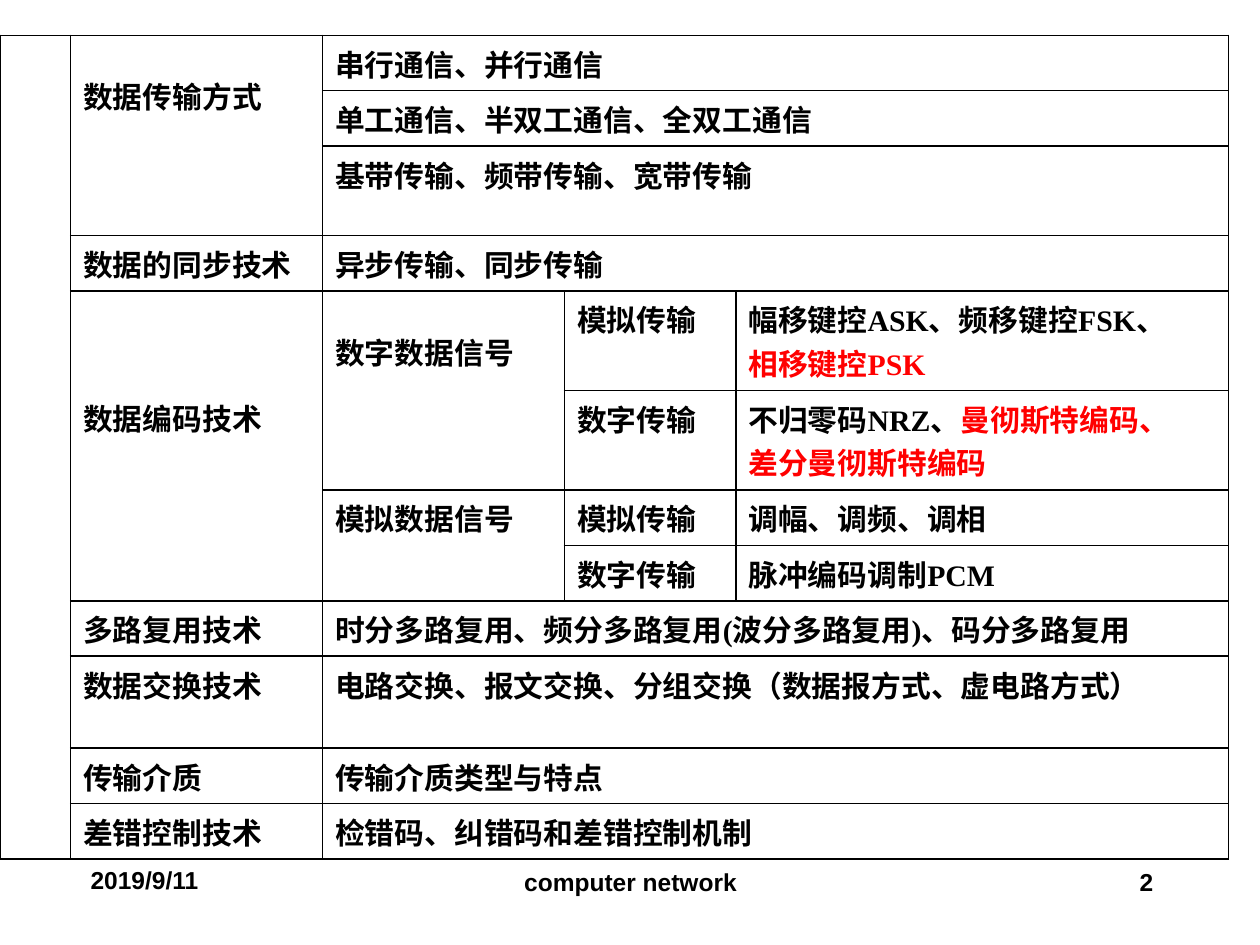
import pptx
import pptx.enum.text
import pptx.oxml
import pptx.util
from lxml import etree
from pptx.dml.color import RGBColor
from pptx.oxml.ns import qn

Inches, Pt = pptx.util.Inches, pptx.util.Pt
ALIGN = pptx.enum.text.PP_ALIGN
COLORS = {"ink": "000000", "key": "FF0000"}

COLS = [0.56, 2, 1.92, 1.36, 3.91]
ROWS = [0.44, 0.44, 0.71, 0.44, 0.79, 0.79, 0.44, 0.44, 0.44, 0.73, 0.44, 0.44]
PAD, LINE = 0.05, 0.26

# row, column, rows spanned, columns spanned, lines left free above, text
TOPICS = [
    (0, 1, 3, 1, 1, "数据传输方式"),
    (3, 1, 1, 1, 0, "数据的同步技术"),
    (4, 1, 4, 1, 3, "数据编码技术"),
    (8, 1, 1, 1, 0, "多路复用技术"),
    (9, 1, 1, 1, 0, "数据交换技术"),
    (10, 1, 1, 1, 0, "传输介质"),
    (11, 1, 1, 1, 0, "差错控制技术"),
    (4, 2, 2, 1, 1, "数字数据信号"),
    (6, 2, 2, 1, 0, "模拟数据信号"),
]
WIDE = {
    0: "串行通信、并行通信",
    1: "单工通信、半双工通信、全双工通信",
    2: "基带传输、频带传输、宽带传输",
    3: "异步传输、同步传输",
    8: "时分多路复用、频分多路复用(波分多路复用)、码分多路复用",
    9: "电路交换、报文交换、分组交换（数据报方式、虚电路方式）",
    10: "传输介质类型与特点",
    11: "检错码、纠错码和差错控制机制",
}
# one list of (text, colour) runs for each line
CODES = {
    4: ("模拟传输", [[("幅移键控ASK、频移键控FSK、", "ink")],
                 [("相移键控PSK", "key")]]),
    5: ("数字传输", [[("不归零码NRZ、", "ink"), ("曼彻斯特编码、", "key")],
                 [("差分曼彻斯特编码", "key")]]),
    6: ("模拟传输", [[("调幅、调频、调相", "ink")]]),
    7: ("数字传输", [[("脉冲编码调制PCM", "ink")]]),
}


def write(frame, lines, face, size, align=ALIGN.LEFT):
    for i, runs in enumerate(lines):
        para = frame.add_paragraph() if i else frame.paragraphs[0]
        para.alignment = align
        for text, color in runs:
            run = para.add_run()
            run.text = text
            run.font.name = face
            run.font.size = Pt(size)
            run.font.bold = True
            run.font.color.rgb = RGBColor.from_string(COLORS[color])


def rule(cell):
    """Draw thin lines on all four sides of a cell and clear its fill."""
    props = cell._tc.get_or_add_tcPr()
    for side in ("a:lnL", "a:lnR", "a:lnT", "a:lnB"):
        line = etree.SubElement(props, qn(side), w=str(Pt(1)))
        fill = etree.SubElement(line, qn("a:solidFill"))
        etree.SubElement(fill, qn("a:srgbClr"), val=COLORS["ink"])
    cell.fill.background()


def fill_cell(grid, row, col, lines, down=1, across=1, free=0):
    cell = grid.cell(row, col)
    if down > 1 or across > 1:
        cell.merge(grid.cell(row + down - 1, col + across - 1))
    cell.margin_top = Inches(PAD + free * LINE)
    write(cell.text_frame, lines, "Times New Roman", 17)


def add_grid(slide, left, top):
    frame = slide.shapes.add_table(
        len(ROWS), len(COLS), Inches(left), Inches(top),
        Inches(sum(COLS)), Inches(sum(ROWS)))
    grid = frame.table
    grid.first_row = grid.horz_banding = False
    for col, width in zip(grid.columns, COLS):
        col.width = Inches(width)
    for row, height in zip(grid.rows, ROWS):
        row.height = Inches(height)
    for cell in grid.iter_cells():
        rule(cell)

    grid.cell(0, 0).merge(grid.cell(len(ROWS) - 1, 0))
    for row, col, down, across, free, text in TOPICS:
        fill_cell(grid, row, col, [[(text, "ink")]], down, across, free)
    for row, text in WIDE.items():
        fill_cell(grid, row, 2, [[(text, "ink")]], across=3)
    for row, (mode, lines) in CODES.items():
        fill_cell(grid, row, 3, [[(mode, "ink")]])
        fill_cell(grid, row, 4, lines)


def add_note(slide, left, top, width, text, align):
    """Place one part of the footer."""
    box = slide.shapes.add_textbox(
        Inches(left), Inches(top), Inches(width), Inches(0.5))
    box.text_frame.word_wrap = True
    write(box.text_frame, [[(text, "ink")]], "Arial", 14, align)


def main():
    deck = pptx.Presentation()
    deck.slide_width, deck.slide_height = Inches(10), Inches(7.5)
    slide = deck.slides.add_slide(deck.slide_layouts[6])
    add_note(slide, 0.62, 6.82, 2.08, "2019/9/11", ALIGN.LEFT)
    add_note(slide, 3.42, 6.83, 3.17, "computer network", ALIGN.CENTER)
    add_note(slide, 7.17, 6.83, 2.08, "2", ALIGN.RIGHT)
    add_grid(slide, 0, 0.28)
    deck.save("out.pptx")


if __name__ == "__main__":
    main()
